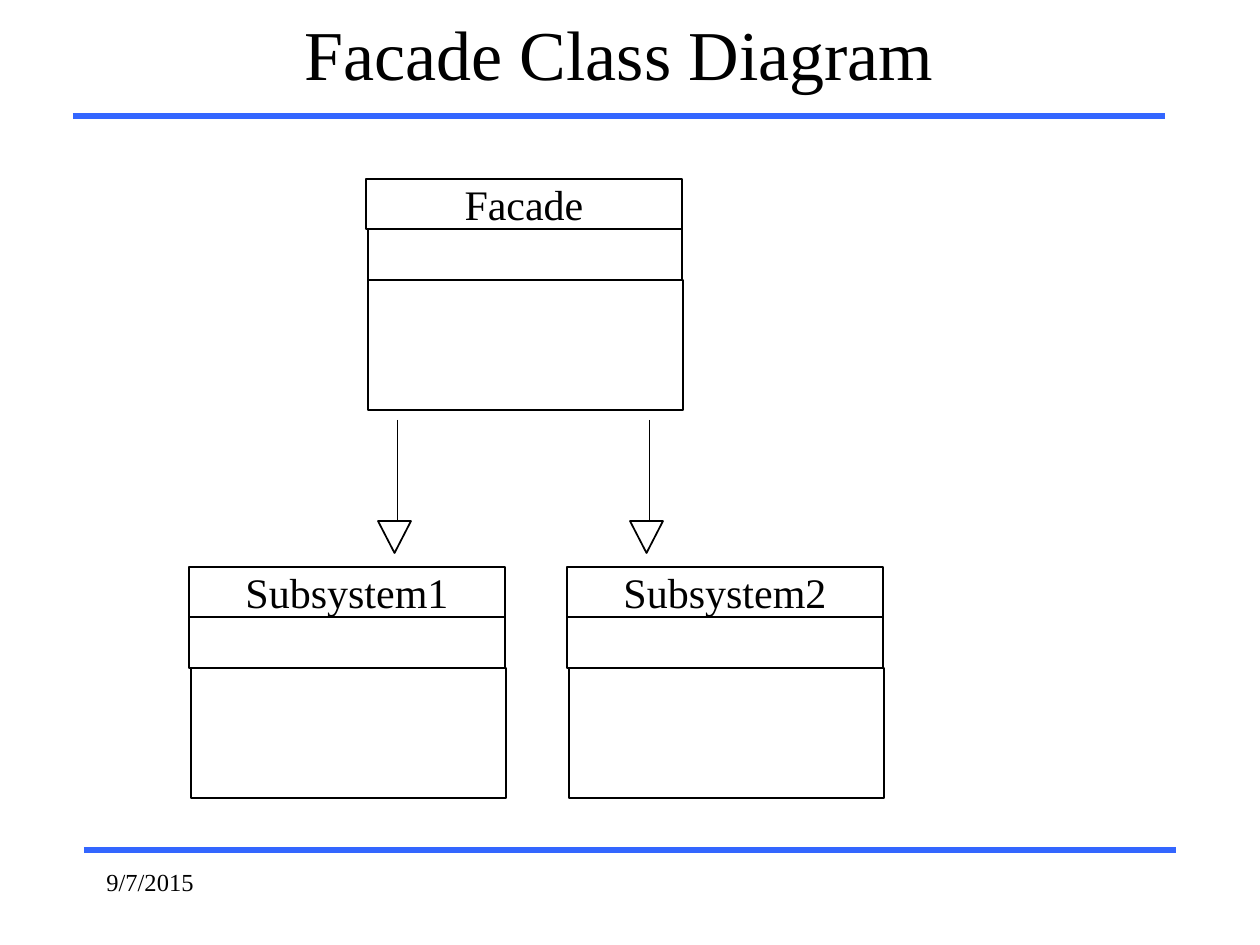
import pptx
import pptx.dml.color
import pptx.enum.shapes
import pptx.enum.text
import pptx.oxml.ns
import pptx.util
import lxml.etree

EMU_PER_PX = 914400 / 126
FONT = "Times New Roman"
COLORS = {"ink": "000000", "paper": "FFFFFF", "rule": "3366FF"}
SHAPES = pptx.enum.shapes.MSO_SHAPE
ALIGN = pptx.enum.text.PP_ALIGN
ANCHOR = pptx.enum.text.MSO_ANCHOR


def px(*lengths):
    """Convert pixel lengths to EMU."""
    return [pptx.util.Emu(round(length * EMU_PER_PX)) for length in lengths]


def color(name):
    """Look up a named colour."""
    return pptx.dml.color.RGBColor.from_string(COLORS[name])


def write(owner, wording, size, align, anchor, wrap=True):
    """Set and format the single paragraph of a shape."""
    frame = owner.text_frame
    frame.text = wording
    frame.word_wrap = wrap
    frame.vertical_anchor = anchor
    paragraph = frame.paragraphs[0]
    paragraph.alignment = align
    font = paragraph.runs[0].font
    font.name = FONT
    font.size = pptx.util.Pt(size)
    font.color.rgb = color("ink")


def add_label(slide, box, wording, size, align, anchor):
    """Add a free-standing text box."""
    label = slide.shapes.add_textbox(*px(*box))
    write(label, wording, size, align, anchor)


def add_line(parent, start, end, ink, width):
    """Add a straight line without a shadow."""
    line = parent.shapes.add_connector(
        pptx.enum.shapes.MSO_CONNECTOR.STRAIGHT, *px(*start, *end))
    line.line.color.rgb = color(ink)
    line.line.width = pptx.util.Pt(width)
    properties = line._element.spPr
    lxml.etree.SubElement(properties, pptx.oxml.ns.qn("a:effectLst"))


def add_outlined(parent, kind, box, width):
    """Add a white preset shape with a black outline."""
    outlined = parent.shapes.add_shape(kind, *px(*box))
    outlined.shadow.inherit = False
    outlined.fill.solid()
    outlined.fill.fore_color.rgb = color("paper")
    outlined.line.color.rgb = color("ink")
    outlined.line.width = pptx.util.Pt(width)
    return outlined


def add_class(slide, name, left, top, attributes_shift=0):
    """Add a class box with name, attribute and operation compartments."""
    group = slide.shapes.add_group_shape()
    add_outlined(group, SHAPES.RECTANGLE,
                 (left + attributes_shift, top + 50, 316 - attributes_shift, 51), 0.75)
    add_outlined(group, SHAPES.RECTANGLE, (left + 2, top + 101, 315, 130), 0.75)
    header = add_outlined(group, SHAPES.RECTANGLE, (left, top, 316, 50), 0.75)
    write(header, name, 24, ALIGN.CENTER, ANCHOR.MIDDLE, wrap=False)


def add_inheritance(slide, x):
    """Add a downward line that ends in a hollow triangle."""
    group = slide.shapes.add_group_shape()
    add_line(group, (x, 420), (x, 535), "ink", 0.5)
    triangle = add_outlined(group, SHAPES.ISOSCELES_TRIANGLE, (x - 19, 521, 33, 32), 1)
    triangle.rotation = 180


def main():
    """Build the class diagram slide."""
    deck = pptx.Presentation()
    deck.slide_width, deck.slide_height = px(1260, 945)
    slide = deck.slides.add_slide(deck.slide_layouts[6])

    for left, y in ((84, 850), (73, 116)):
        add_line(slide, (left, y), (left + 1092, y), "rule", 3)
    add_label(slide, (73, 0, 1092, 105), "Facade Class Diagram", 40,
              ALIGN.CENTER, ANCHOR.MIDDLE)
    add_label(slide, (94, 861, 262, 63), "9/7/2015", 14, ALIGN.LEFT, ANCHOR.TOP)

    add_class(slide, "Facade", 366, 179, attributes_shift=2)
    for index in range(2):
        shift = 378 * index
        add_class(slide, f"Subsystem{index + 1}", 189 + shift, 567)
        add_inheritance(slide, 397 + 252 * index)

    deck.save("out.pptx")


if __name__ == "__main__":
    main()
